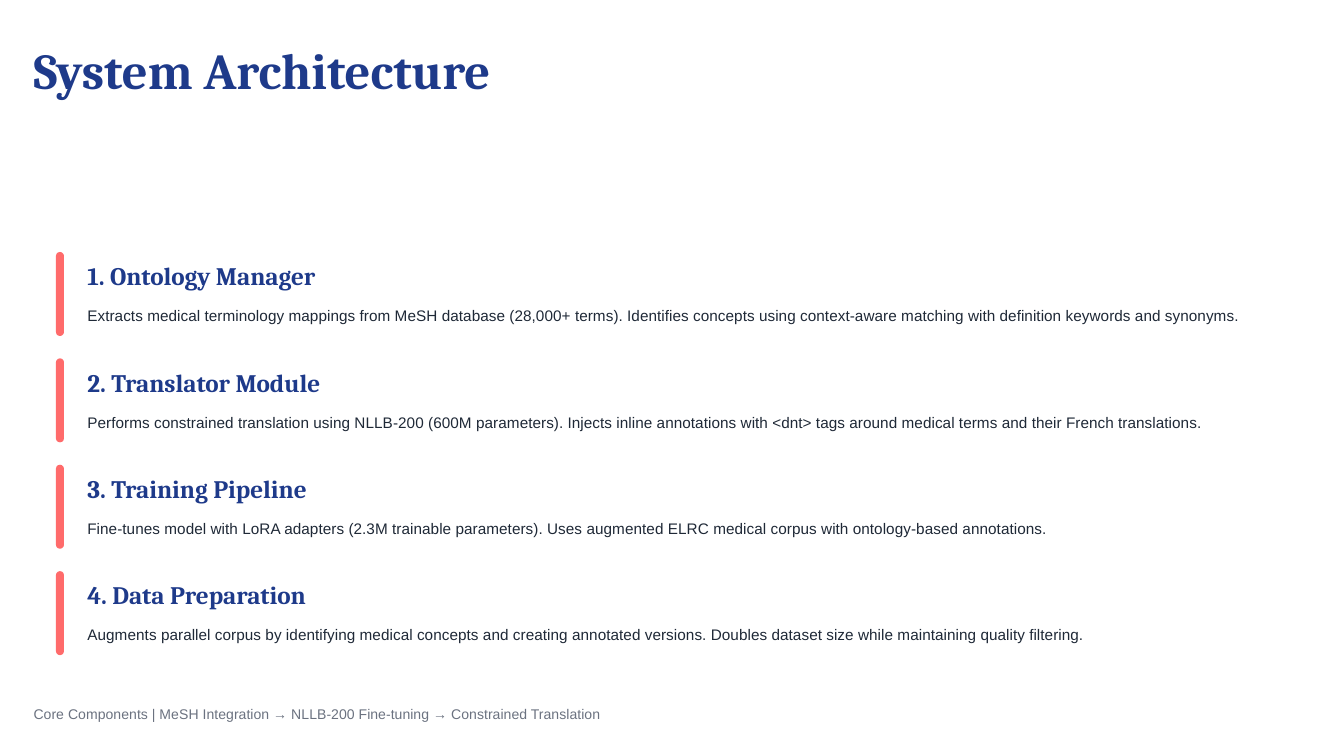
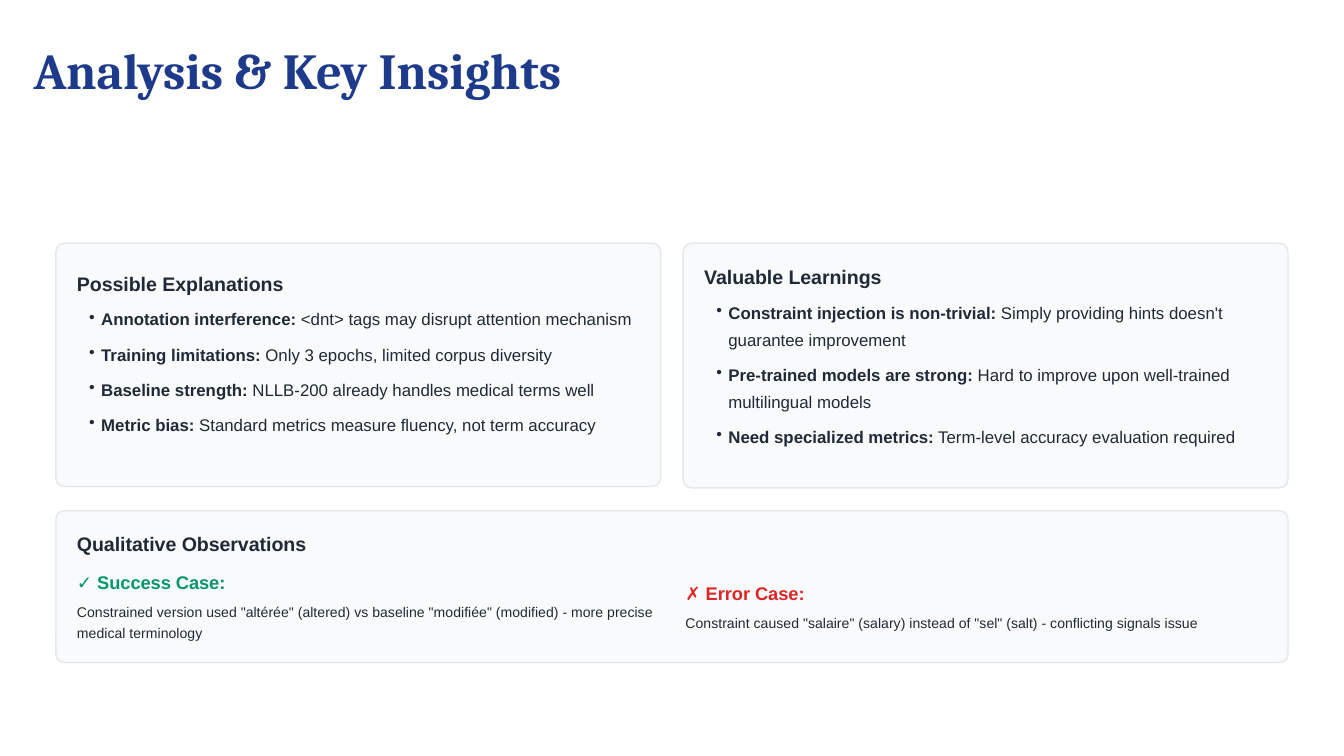
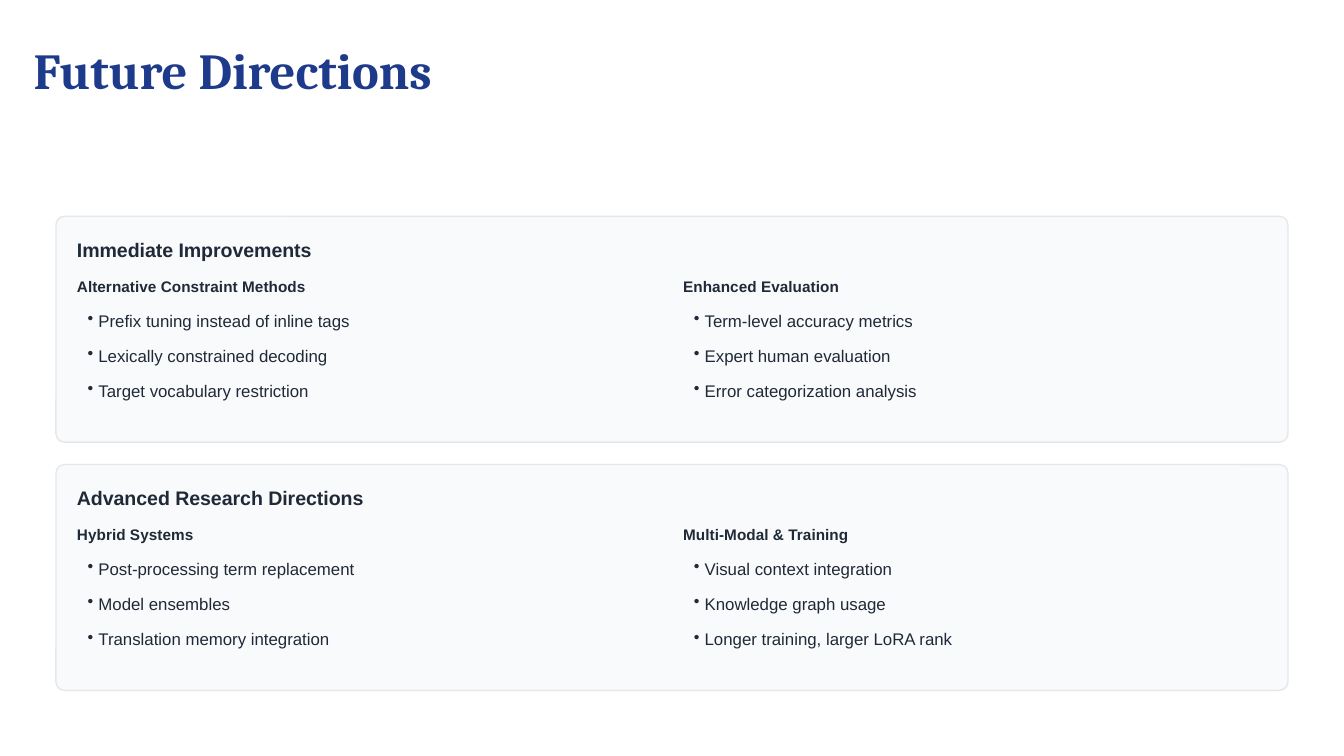
from lxml.etree import SubElement
from pptx import Presentation
from pptx.dml.color import RGBColor
from pptx.enum.shapes import MSO_SHAPE
from pptx.oxml.ns import qn
from pptx.util import Inches, Pt

# Content
PARTS = [
    ("1. Ontology Manager",
     "Extracts medical terminology mappings from MeSH database (28,000+ terms). "
     "Identifies concepts using context-aware matching with definition keywords and synonyms."),
    ("2. Translator Module",
     "Performs constrained translation using NLLB-200 (600M parameters). "
     "Injects inline annotations with <dnt> tags around medical terms and their French translations."),
    ("3. Training Pipeline",
     "Fine-tunes model with LoRA adapters (2.3M trainable parameters). "
     "Uses augmented ELRC medical corpus with ontology-based annotations."),
    ("4. Data Preparation",
     "Augments parallel corpus by identifying medical concepts and creating annotated versions. "
     "Doubles dataset size while maintaining quality filtering."),
]
FLOW = "Core Components | MeSH Integration → NLLB-200 Fine-tuning → Constrained Translation"

# Each finding: heading, drop of its text below the card top, card height, points
FINDINGS = [
    ("Possible Explanations", 0.21, 1.81, [
        ("Annotation interference:", " <dnt> tags may disrupt attention mechanism"),
        ("Training limitations:", " Only 3 epochs, limited corpus diversity"),
        ("Baseline strength:", " NLLB-200 already handles medical terms well"),
        ("Metric bias:", " Standard metrics measure fluency, not term accuracy"),
    ]),
    ("Valuable Learnings", 0.16, 1.82, [
        ("Constraint injection is non-trivial:",
         " Simply providing hints doesn't guarantee improvement"),
        ("Pre-trained models are strong:",
         " Hard to improve upon well-trained multilingual models"),
        ("Need specialized metrics:", " Term-level accuracy evaluation required"),
    ]),
]
# Each case: heading, colour, top, text, height of text
CASES = [
    ("✓ Success Case:", "059669", 4.21,
     'Constrained version used "altérée" (altered) vs baseline "modifiée" (modified)'
     " - more precise medical terminology", 0.31),
    ("✗ Error Case:", "DC2626", 4.29,
     'Constraint caused "salaire" (salary) instead of "sel" (salt)'
     " - conflicting signals issue", 0.16),
]

PLANS = [
    ("Immediate Improvements", [
        ("Alternative Constraint Methods",
         ["Prefix tuning instead of inline tags", "Lexically constrained decoding",
          "Target vocabulary restriction"]),
        ("Enhanced Evaluation",
         ["Term-level accuracy metrics", "Expert human evaluation",
          "Error categorization analysis"]),
    ]),
    ("Advanced Research Directions", [
        ("Hybrid Systems",
         ["Post-processing term replacement", "Model ensembles",
          "Translation memory integration"]),
        ("Multi-Modal & Training",
         ["Visual context integration", "Knowledge graph usage",
          "Longer training, larger LoRA rank"]),
    ]),
]

# Shared look and grid, in inches
NAVY, INK, GREY, CORAL, PALE, RULE = (
    "1E3A8A", "1F2937", "6B7280", "FF6B6B", "F9FAFB", "E5E7EB")
HEAD, BODY = "Cambria", "Arial"
WIDE = 10
HIGH = WIDE * 9 / 16
EDGE = WIDE / 24
GAP = WIDE / 60
PAD = WIDE / 64
FULL = WIDE - 2 * EDGE
HALF = (FULL - GAP) / 2
COLS = [EDGE, EDGE + HALF + GAP]
CURVE = WIDE / 160


def tint(code):
    return RGBColor.from_string(code)


def write(slide, lines, x, y, w, h, size=9, font=BODY, color=INK, bold=False,
          lead=1.5, after=0, hang=0):
    """Lines are one string or a list; a pair is a bold start and a plain rest."""
    frame = slide.shapes.add_textbox(Inches(x), Inches(y), Inches(w), Inches(h)).text_frame
    frame.word_wrap = True
    frame.margin_left = Inches(hang)
    frame.margin_right = frame.margin_top = frame.margin_bottom = 0
    for i, line in enumerate([lines] if isinstance(lines, str) else lines):
        para = frame.paragraphs[0] if i == 0 else frame.add_paragraph()
        para.line_spacing = Pt(size * lead)
        para.space_after = Pt(after)
        if hang:
            props = para._p.get_or_add_pPr()
            props.set("marL", str(Inches(hang)))
            props.set("indent", str(-Inches(hang)))
            SubElement(props, qn("a:buChar"), char="•")
        runs = [(line, bold)] if isinstance(line, str) else [(line[0], True), (line[1], False)]
        for words, heavy in runs:
            run = para.add_run()
            run.text = words
            run.font.size, run.font.name, run.font.bold = Pt(size), font, heavy
            run.font.color.rgb = tint(color)


def block(slide, x, y, w, h, fill, curve, line=None):
    shape = slide.shapes.add_shape(
        MSO_SHAPE.ROUNDED_RECTANGLE, Inches(x), Inches(y), Inches(w), Inches(h))
    shape.shadow.inherit = False
    shape.adjustments[0] = curve / min(w, h)
    shape.fill.solid()
    shape.fill.fore_color.rgb = tint(fill)
    if line:
        shape.line.color.rgb = tint(line)
        shape.line.width = Pt(0.75)
    else:
        shape.line.fill.background()


def card(slide, name, x, y, w, h, drop=0.16):
    block(slide, x, y, w, h, PALE, CURVE, RULE)
    write(slide, name, x + PAD, y + drop, w - PAD, 0.17,
          size=10.5, bold=True, lead=1.2, after=4.5)


def points(slide, lines, x, y, w, h, hang):
    write(slide, lines, x, y, w, h, lead=1.6, after=4.5, hang=hang)


def start(deck, title):
    slide = deck.slides.add_slide(deck.slide_layouts[6])
    slide.background.fill.solid()
    slide.background.fill.fore_color.rgb = tint("FFFFFF")
    write(slide, title, WIDE / 40, 0.29, 4.9, 0.45,
          size=27, font=HEAD, color=NAVY, bold=True, lead=1.2)
    return slide


def system(deck):
    slide = start(deck, "System Architecture")
    bar = WIDE / 16
    for i, (name, note) in enumerate(PARTS):
        y = HIGH / 3 + i * (bar + GAP)
        block(slide, EDGE, y, 0.06, bar, CORAL, 0.03)
        write(slide, name, 0.65, y + 0.08, 4.57, 0.21, size=13.5, font=HEAD,
              color=NAVY, bold=True, lead=10 / 9, after=6)
        write(slide, note, 0.65, y + 0.37, 9.12, 0.17, size=8.25)
    write(slide, FLOW, WIDE / 40, 5.22, 4.27, 0.16, size=7.5, color=GREY)


def insight(deck):
    slide = start(deck, "Analysis & Key Insights")
    top = 1.81
    for x, (name, drop, high, lines) in zip(COLS, FINDINGS):
        card(slide, name, x, top, HALF, high, drop)
        points(slide, lines, x + PAD, top + drop + 0.23, HALF - 2 * PAD,
               high - 0.44 - drop, 0.09)
    card(slide, "Qualitative Observations", EDGE, 3.8, FULL, 1.13)
    for x, (name, color, y, note, high) in zip([EDGE + PAD, 5.1], CASES):
        write(slide, name, x, y, 4.41, 0.2, size=9.75, color=color, bold=True, after=3)
        write(slide, note, x, y + 0.25, 4.41, high, size=7.5)


def future(deck):
    slide = start(deck, "Future Directions")
    high = 1.68
    for i, (name, groups) in enumerate(PLANS):
        y = 1.61 + i * (high + GAP)
        card(slide, name, EDGE, y, FULL, high)
        for x, (head, lines) in zip([EDGE + PAD, COLS[1]], groups):
            write(slide, head, x, y + 0.42, 4.43, 0.17, size=8.25, bold=True, after=4.5)
            points(slide, lines, x, y + 0.65, 4.34, 0.87, 0.08)


def main():
    deck = Presentation()
    deck.slide_width, deck.slide_height = Inches(WIDE), Inches(HIGH)
    for build in (system, insight, future):
        build(deck)
    deck.save("out.pptx")


if __name__ == "__main__":
    main()
